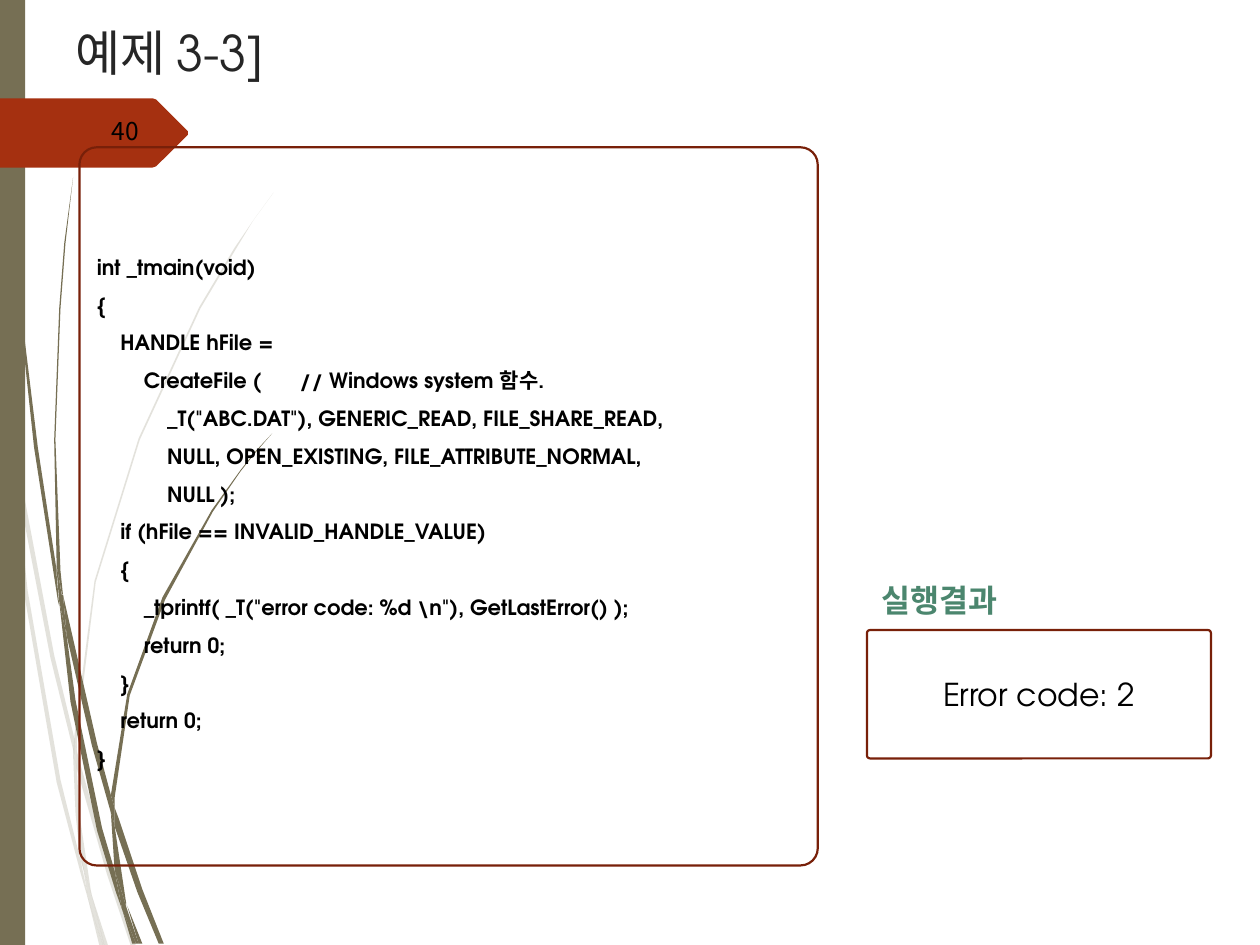
from lxml import etree
from pptx import Presentation
from pptx import util as u
from pptx.dml.color import RGBColor
from pptx.enum import shapes, text
from pptx.oxml.ns import qn

OLIVE = RGBColor(0x76, 0x6F, 0x54)
RUST = RGBColor(0xA5, 0x30, 0x10)
MAROON = RGBColor(0x78, 0x20, 0x09)
GREEN = RGBColor(0x4B, 0x86, 0x6E)
CHARCOAL = RGBColor(0x26, 0x26, 0x26)
BLACK = RGBColor(0, 0, 0)
LATIN, KOREAN = "TeX Gyre Adventor", "Noto Sans CJK KR"
GRID = u.Pt(0.72)

PALE_STEMS = [
    [(8, 350), (6, 322), (0, 282), (0, 299), (7, 344)],
    [(40, 522), (59, 599), (59, 586), (43, 520), (10, 345), (12, 376)],
    [(64, 607), (61, 596), (61, 610), (85, 694), (104, 751), (108, 751), (88, 692)],
    [(83, 751), (86, 751), (73, 711)],
    [(64, 683), (48, 619), (22, 469), (12, 376), (8, 350), (19, 470), (45, 621),
     (64, 693), (70, 714), (69, 707)],
    [(58, 599), (60, 646), (64, 683), (67, 692), (73, 711), (72, 706), (63, 646),
     (61, 610), (61, 608)],
    [(61, 584), (76, 462), (111, 349), (159, 245), (187, 198), (201, 175), (217, 153),
     (201, 175), (186, 197), (158, 244), (110, 348), (75, 461), (59, 584), (59, 586),
     (61, 596)],
    [(70, 714), (79, 751), (82, 751)],
    [(61, 608), (61, 610), (61, 596), (59, 586), (58, 599)],
    [(67, 692), (65, 683), (69, 707), (70, 714), (82, 751), (83, 751), (73, 711)],
]
DARK_STEMS = [
    [(5, 110), (14, 233), (27, 355), (46, 477), (47, 481), (45, 457), (45, 453),
     (30, 355), (15, 232), (6, 109), (4, 48), (3, 0), (2, 0), (3, 48)],
    [(73, 592), (88, 645), (88, 633), (88, 631), (77, 590), (50, 472), (53, 505)],
    [(94, 649), (91, 641), (91, 656), (109, 708), (126, 749), (130, 749), (113, 706)],
    [(91, 691), (81, 657), (60, 556), (53, 505), (47, 477), (56, 557), (77, 659),
     (92, 708), (97, 722), (96, 717)],
    [(50, 472), (48, 453), (44, 349), (48, 245), (52, 193), (58, 141), (51, 193),
     (47, 245), (43, 349), (45, 449), (49, 471)],
    [(110, 749), (113, 749), (101, 719)],
    [(47, 477), (53, 505), (50, 472), (49, 472), (45, 449), (45, 453)],
    [(91, 633), (103, 552), (131, 476), (169, 406), (191, 374), (203, 359), (216, 344),
     (203, 358), (191, 373), (168, 405), (129, 474), (101, 551), (88, 631), (91, 641)],
    [(97, 722), (105, 749), (108, 749)],
    [(88, 645), (91, 691), (96, 706), (100, 719), (100, 716), (91, 656), (90, 651)],
    [(88, 645), (90, 651), (91, 656), (91, 641), (88, 631), (88, 633)],
    [(96, 706), (91, 691), (96, 717), (97, 722), (108, 749), (110, 749), (100, 719)],
]
PAGE_ARROW = [(149, 107), (124, 132), (121, 133), (0, 133), (0, 78), (121, 78),
              (124, 79), (149, 104)]
CODE = r'''int _tmain(void)
{
    HANDLE hFile =
        CreateFile (<tab>     // Windows system 함수.
            _T("ABC.DAT"), GENERIC_READ, FILE_SHARE_READ,
            NULL, OPEN_EXISTING, FILE_ATTRIBUTE_NORMAL,
            NULL );
    if (hFile == INVALID_HANDLE_VALUE)
    {
        _tprintf( _T("error code: %d \n"), GetLastError() );
        return 0;
    }
    return 0;
}'''.replace("<tab>", "\t")


class Deck:
    """Builds the slide's elements in one shared style."""

    def __init__(self):
        self.presentation = Presentation()
        self.presentation.slide_width = u.Pt(720)
        self.presentation.slide_height = u.Pt(540)
        self.slide = self.presentation.slides.add_slide(self.presentation.slide_layouts[6])

    def paint(self, shape, color, opacity=100):
        shape.shadow.inherit = False
        shape.fill.solid()
        shape.fill.fore_color.rgb = color
        shape.line.fill.background()
        if opacity < 100:
            tint = shape._element.spPr.find(".//" + qn("a:srgbClr"))
            etree.SubElement(tint, qn("a:alpha"), val=str(opacity * 1000))

    def outline(self, points, color, opacity=100, parent=None):
        builder = (parent or self.slide).shapes.build_freeform(*points[0], scale=GRID)
        builder.add_line_segments(points[1:])
        self.paint(builder.convert_to_shape(), color, opacity)

    def stems(self, outlines, opacity=100):
        plant = self.slide.shapes.add_group_shape()
        for points in outlines:
            self.outline(points, OLIVE, opacity, plant)

    def bar(self, *box):
        bar = self.slide.shapes.add_shape(shapes.MSO_SHAPE.RECTANGLE, *map(u.Pt, box))
        self.paint(bar, OLIVE)

    def fill_text(self, shape, wording, anchor="MIDDLE", align="LEFT", spacing=None,
                  hanging=0, tab_count=0, **font):
        frame = shape.text_frame
        frame.word_wrap = True
        frame.vertical_anchor = text.MSO_ANCHOR[anchor]
        style = {"name": LATIN, "size": u.Pt(18), "bold": False}
        color = font.pop("color", BLACK)
        style.update(font)
        for index, line in enumerate(wording.split("\n")):
            paragraph = frame.add_paragraph() if index else frame.paragraphs[0]
            paragraph.alignment = text.PP_ALIGN[align]
            paragraph.line_spacing = spacing
            properties = paragraph._p.get_or_add_pPr()
            if hanging:
                properties.set("marL", str(u.Pt(hanging)))
                properties.set("indent", str(u.Pt(-hanging)))
            if tab_count:
                tabs = etree.SubElement(properties, qn("a:tabLst"))
                for inch in range(tab_count):
                    etree.SubElement(tabs, qn("a:tab"), pos=str(u.Pt(72 * inch)), algn="l")
            run = paragraph.add_run()
            run.text = line
            for key, value in style.items():
                setattr(run.font, key, value)
            run.font.color.rgb = color
            etree.SubElement(run.font._element, qn("a:ea"), typeface=KOREAN)

    def label(self, box, wording, **style):
        self.fill_text(self.slide.shapes.add_textbox(*map(u.Pt, box)), wording, **style)

    def panel(self, box, wording, **style):
        panel = self.slide.shapes.add_shape(
            shapes.MSO_SHAPE.ROUNDED_RECTANGLE, *map(u.Pt, box))
        panel.adjustments[0] = 0.024
        panel.shadow.inherit = False
        panel.fill.background()
        panel.line.color.rgb = MAROON
        panel.line.width = u.Pt(1.25)
        self.fill_text(panel, wording, **style)


def main():
    deck = Deck()
    deck.stems(PALE_STEMS, opacity=20)
    deck.stems(DARK_STEMS)
    deck.bar(0, 0, 14.4, 540)
    deck.outline(PAGE_ARROW, RUST)
    deck.label((40.3, 61.9, 46.1, 28.8), "40", align="RIGHT", spacing=0.8,
               name=KOREAN, size=u.Pt(14))
    deck.label((36, 9.4, 594, 52.6), "예제 3-3]", anchor="TOP", size=u.Pt(28),
               color=CHARCOAL)
    deck.panel((45.4, 84.2, 421.9, 410.4), CODE, spacing=1.5, hanging=27,
               tab_count=8, size=u.Pt(12), bold=True)
    deck.panel((495.4, 360, 196.6, 73.4), "Error code: 2", align="CENTER")
    deck.label((472.3, 326.2, 129.6, 33.8), "실행결과", align="CENTER", bold=True,
               color=GREEN)
    deck.presentation.save("out.pptx")


if __name__ == "__main__":
    main()
